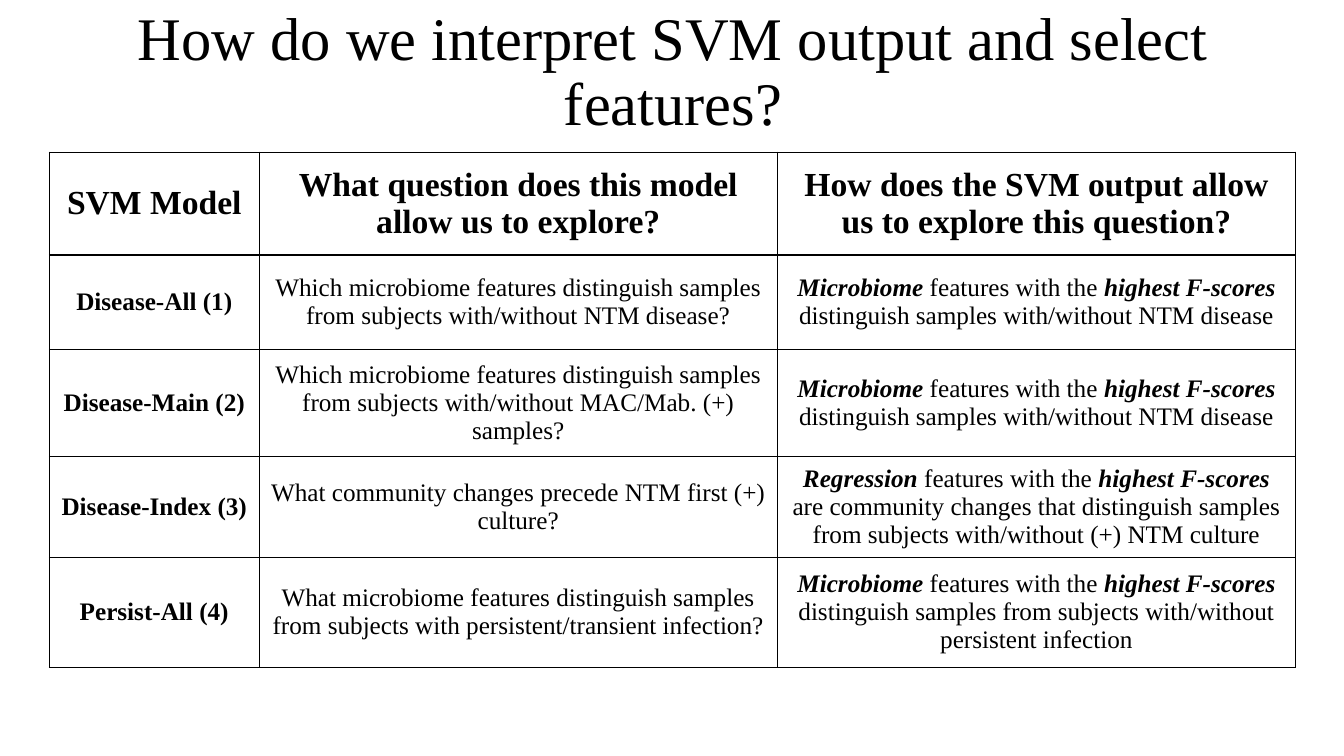
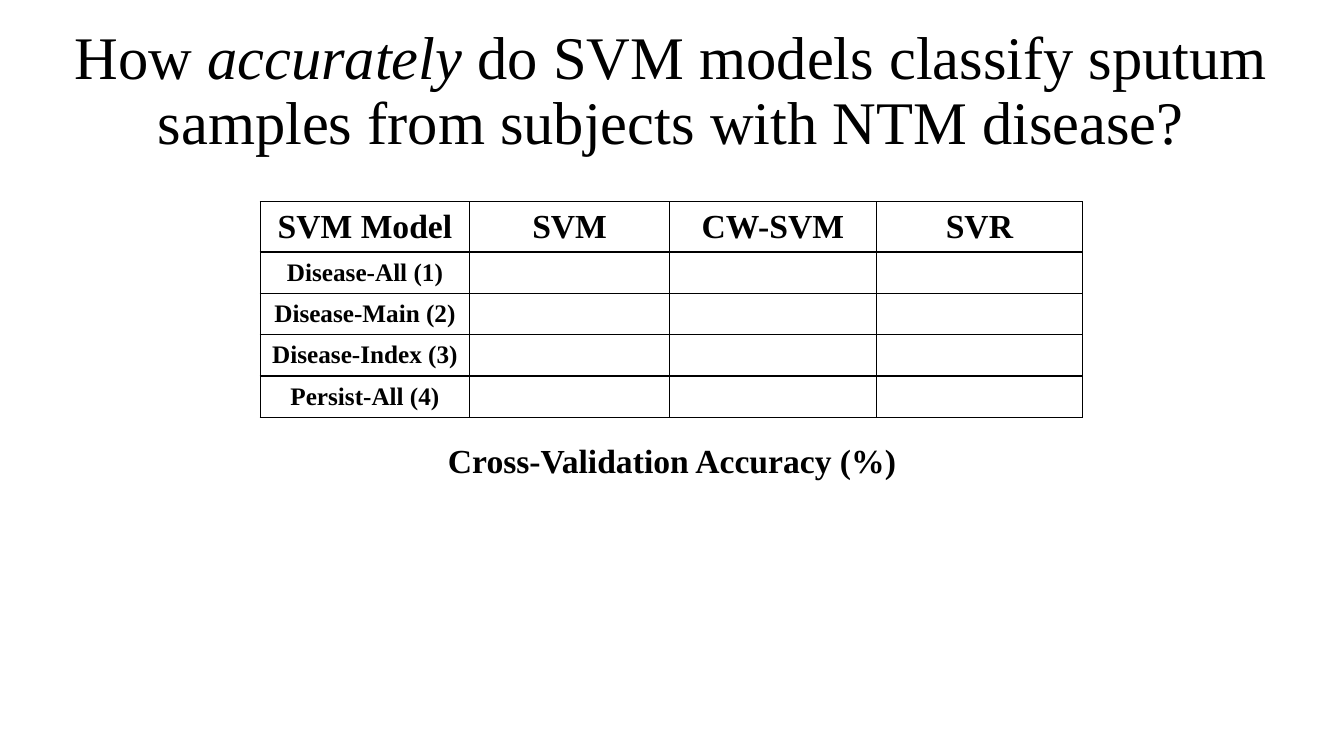
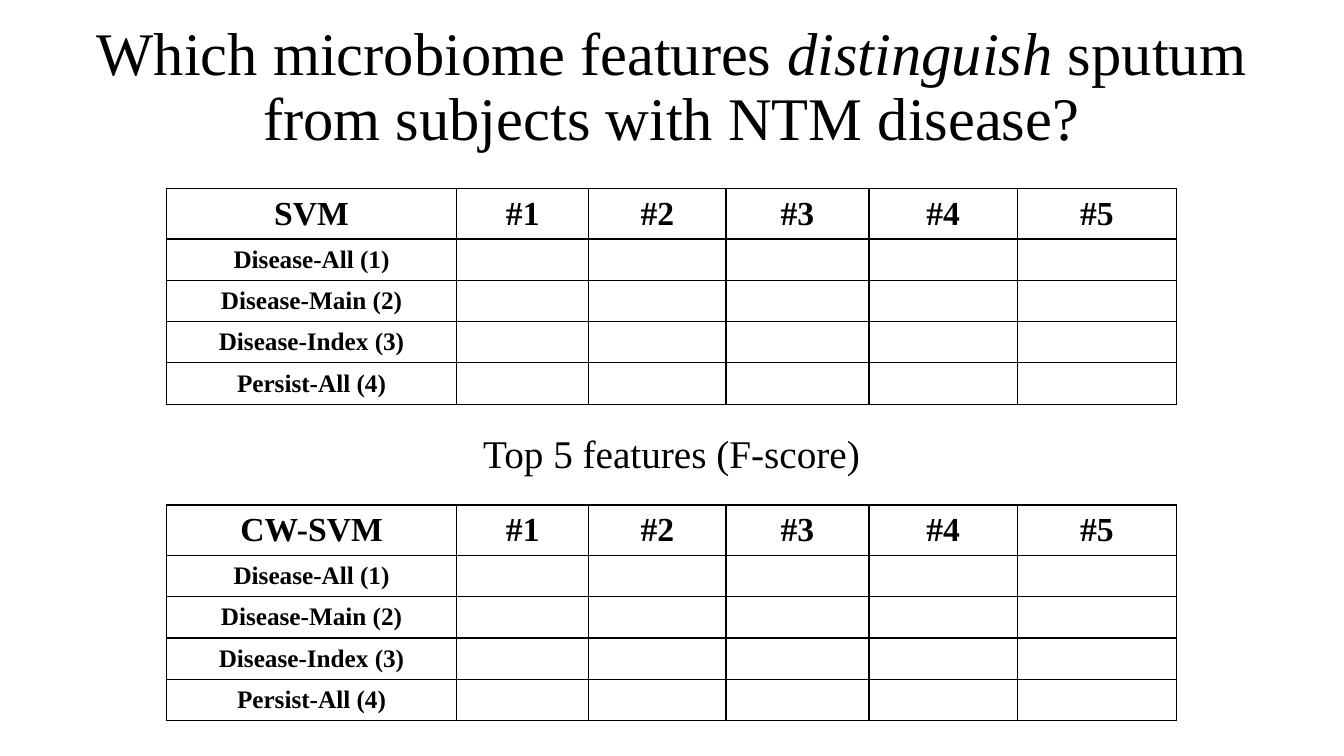
from lxml import etree
from pptx import Presentation
from pptx import util as u
from pptx.dml import color
from pptx.enum import text
from pptx.oxml import ns

INK = "000000"
PAPER = "FFFFFF"
FACE = "Times New Roman"
TITLE_SIZE, HEAD_SIZE, BODY_SIZE, CAPTION_SIZE = 43.2, 24, 18, 28
MODELS = ["Disease-All (1)", "Disease-Main (2)", "Disease-Index (3)", "Persist-All (4)"]


def write(paragraph, content, size, bold=False, strong_emphasis=False):
    paragraph.alignment = text.PP_ALIGN.CENTER
    for index, part in enumerate(content.split("*")):
        if not part:
            continue
        emphasised = index % 2 == 1
        run = paragraph.add_run()
        run.text = part
        style = {"name": FACE, "size": u.Pt(size), "italic": emphasised,
                 "bold": bold or (emphasised and strong_emphasis)}
        for key, value in style.items():
            setattr(run.font, key, value)
        run.font.color.rgb = color.RGBColor.from_string(INK)


def add_grid(slide, left, top, widths, heights, rows):
    frame = slide.shapes.add_table(
        len(rows), len(widths), u.Inches(left), u.Inches(top),
        u.Inches(sum(widths)), u.Inches(sum(heights)))
    grid = frame.table
    grid.first_row = grid.horz_banding = False
    for column, width in zip(grid.columns, widths):
        column.width = u.Inches(width)
    for r, (height, row) in enumerate(zip(heights, rows)):
        grid.rows[r].height = u.Inches(height)
        for c, content in enumerate(row):
            cell = grid.cell(r, c)
            cell.vertical_anchor = text.MSO_ANCHOR.MIDDLE
            write(cell.text_frame.paragraphs[0], content,
                  BODY_SIZE if r else HEAD_SIZE, r == 0 or c == 0, True)
            properties = cell._tc.get_or_add_tcPr()
            for side in ("lnL", "lnR", "lnT", "lnB"):
                border = etree.SubElement(properties, ns.qn(f"a:{side}"), w=str(u.Pt(1)))
                solid = etree.SubElement(border, ns.qn("a:solidFill"))
                etree.SubElement(solid, ns.qn("a:srgbClr"), val=INK)
            cell.fill.solid()
            cell.fill.fore_color.rgb = color.RGBColor.from_string(PAPER)


deck = Presentation()
deck.slide_width, deck.slide_height = u.Inches(13.33), u.Inches(7.5)

titles = [
    (0.89, 0.15, 11.57, "How do we interpret SVM output and select features?"),
    (0.21, 0.34, 12.89, "How *accurately* do SVM models classify sputum samples "
                        "from subjects with NTM disease?"),
    (0.37, 0.3, 12.58, "Which microbiome features *distinguish* sputum "
                       "from subjects with NTM disease?"),
]
slides = []
for left, top, width, title in titles:
    slide = deck.slides.add_slide(deck.slide_layouts[6])
    heading = slide.shapes.add_textbox(
        u.Inches(left), u.Inches(top), u.Inches(width), u.Inches(1.16)).text_frame
    heading.word_wrap = True
    heading.vertical_anchor = text.MSO_ANCHOR.MIDDLE
    heading.paragraphs[0].line_spacing = 0.9
    write(heading.paragraphs[0], title, TITLE_SIZE)
    slides.append(slide)
interpretation, accuracy, features = slides

questions = [
    "Which microbiome features distinguish samples from subjects with/without NTM disease?",
    "Which microbiome features distinguish samples from subjects with/without MAC/Mab. (+) samples?",
    "What community changes precede NTM first (+) culture?",
    "What microbiome features distinguish samples from subjects with persistent/transient infection?",
]
answers = [
    ("Microbiome", "distinguish samples with/without NTM disease"),
    ("Microbiome", "distinguish samples with/without NTM disease"),
    ("Regression", "are community changes that distinguish samples "
                   "from subjects with/without (+) NTM culture"),
    ("Microbiome", "distinguish samples from subjects with/without persistent infection"),
]
model_rows = [["SVM Model", "What question does this model allow us to explore?",
               "How does the SVM output allow us to explore this question?"]]
for model, question, (kind, meaning) in zip(MODELS, questions, answers):
    model_rows.append(
        [model, question, f"*{kind}* features with the *highest F-scores* {meaning}"])
add_grid(interpretation, 0.49, 1.51, [2.08, 5.14, 5.14],
         [1.02, 0.94, 1.06, 0.92, 1.09], model_rows)

ranks = [f"#{rank}" for rank in range(1, 6)]
rank_widths = [2.88, 1.31, 1.36, 1.42, 1.47, 1.58]
score_grids = [
    (accuracy, 2.58, 2, [2.08, 1.98, 2.05, 2.05], 0.47, ["SVM Model", "SVM", "CW-SVM", "SVR"]),
    (features, 1.65, 1.87, rank_widths, 0.47, ["SVM"] + ranks),
    (features, 1.65, 5.01, rank_widths, 0.5, ["CW-SVM"] + ranks),
]
for slide, left, top, widths, head_height, head in score_grids:
    blanks = [""] * (len(head) - 1)
    add_grid(slide, left, top, widths, [head_height] + [0.41] * len(MODELS),
             [head] + [[model] + blanks for model in MODELS])

captions = [
    (accuracy, 4.32, 4.32, 4.69, 0.5, "Cross-Validation Accuracy (%)", HEAD_SIZE, True),
    (features, 4.67, 4.21, 3.98, 0.57, "Top 5 features (F-score)", CAPTION_SIZE, False),
]
for slide, left, top, width, height, caption, size, bold in captions:
    label = slide.shapes.add_textbox(
        u.Inches(left), u.Inches(top), u.Inches(width), u.Inches(height)).text_frame
    label.word_wrap = False
    write(label.paragraphs[0], caption, size, bold)

deck.save("out.pptx")
